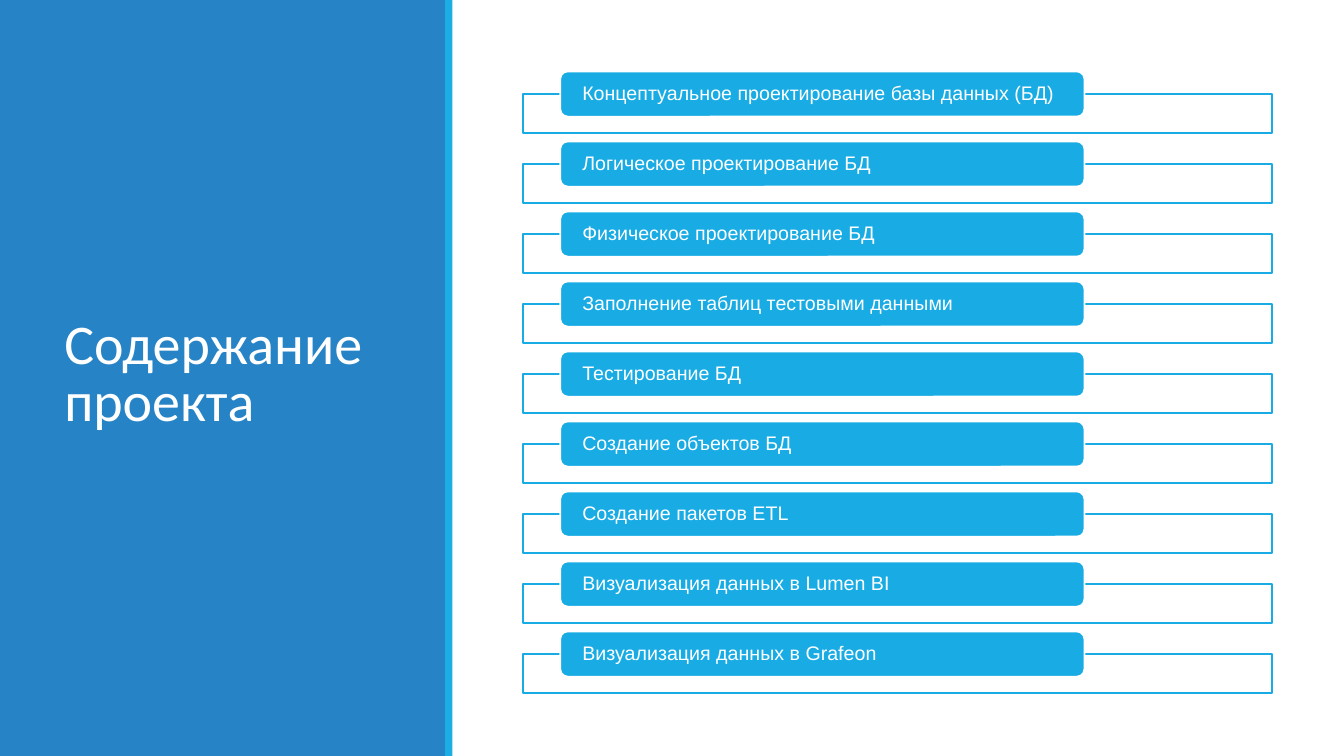
from pptx import Presentation
from pptx.dml.color import RGBColor
from pptx.enum.shapes import MSO_SHAPE
from pptx.enum.text import MSO_ANCHOR, MSO_AUTO_SIZE, PP_ALIGN
from pptx.util import Cm, Pt

RECT, ROUND = MSO_SHAPE.RECTANGLE, MSO_SHAPE.ROUNDED_RECTANGLE
MIDDLE, LEFT = MSO_ANCHOR.MIDDLE, PP_ALIGN.LEFT
NO_FIT = MSO_AUTO_SIZE.NONE

COLORS = {"panel": "2683C6", "stripe": "1CADE4", "pill": "19ACE4", "white": "FFFFFF"}
TOPICS = [
    "Концептуальное проектирование базы данных (БД)",
    "Логическое проектирование БД",
    "Физическое проектирование БД",
    "Заполнение таблиц тестовыми данными",
    "Тестирование БД",
    "Создание объектов БД",
    "Создание пакетов ETL",
    "Визуализация данных в Lumen BI",
    "Визуализация данных в Grafeon",
]
TOP, STEP = 2.37, 1.764

prs = Presentation()
prs.slide_width, prs.slide_height = Cm(33.87), Cm(19.05)
slide = prs.slides.add_slide(prs.slide_layouts[5])


def add_box(kind, left, top, width, height, fill, line=None):
    box = slide.shapes.add_shape(kind, Cm(left), Cm(top), Cm(width), Cm(height))
    box.shadow.inherit = False
    box.fill.solid()
    box.fill.fore_color.rgb = RGBColor.from_string(COLORS[fill])
    if line:
        box.line.color.rgb = RGBColor.from_string(COLORS[line])
        box.line.width = Pt(1.25)
    else:
        box.line.fill.background()
    return box


def set_text(shape, text, font, size, spacing, inset):
    """Write one left-aligned white paragraph, centred vertically."""
    frame = shape.text_frame
    frame.text = text
    frame.word_wrap = True
    frame.auto_size = NO_FIT
    frame.vertical_anchor = MIDDLE
    frame.margin_left = frame.margin_right = Cm(inset)
    para = frame.paragraphs[0]
    para.alignment = LEFT
    para.line_spacing = spacing
    para.font.name = font
    para.font.size = Pt(size)
    para.font.color.rgb = RGBColor.from_string(COLORS["white"])


# Left panel with the title
panel = add_box(RECT, 0, 0, 11.25, 19.05, "panel")
add_box(RECT, 11.22, 0, 0.18, 19.05, "stripe")

title = slide.shapes.title
title.left, title.top, title.width, title.height = Cm(1.37), Cm(1.45), Cm(8.56), Cm(16.03)
set_text(title, "Содержание проекта", "Calibri", 40, 0.85, 0.25)
panel.element.addnext(title.element)  # lift the title above the panel

# List of topics
for i, topic in enumerate(TOPICS):
    top = TOP + i * STEP
    add_box(RECT, 13.18, top, 18.87, 0.99, "white", "pill")
    pill = add_box(ROUND, 14.12, top - 0.57, 13.21, 1.14, "pill", "white")
    pill.adjustments[0] = 0.167
    set_text(pill, topic, "Arial", 14, 0.9, 0.5)
    pill.text_frame.margin_top = pill.text_frame.margin_bottom = 0

prs.save("out.pptx")
